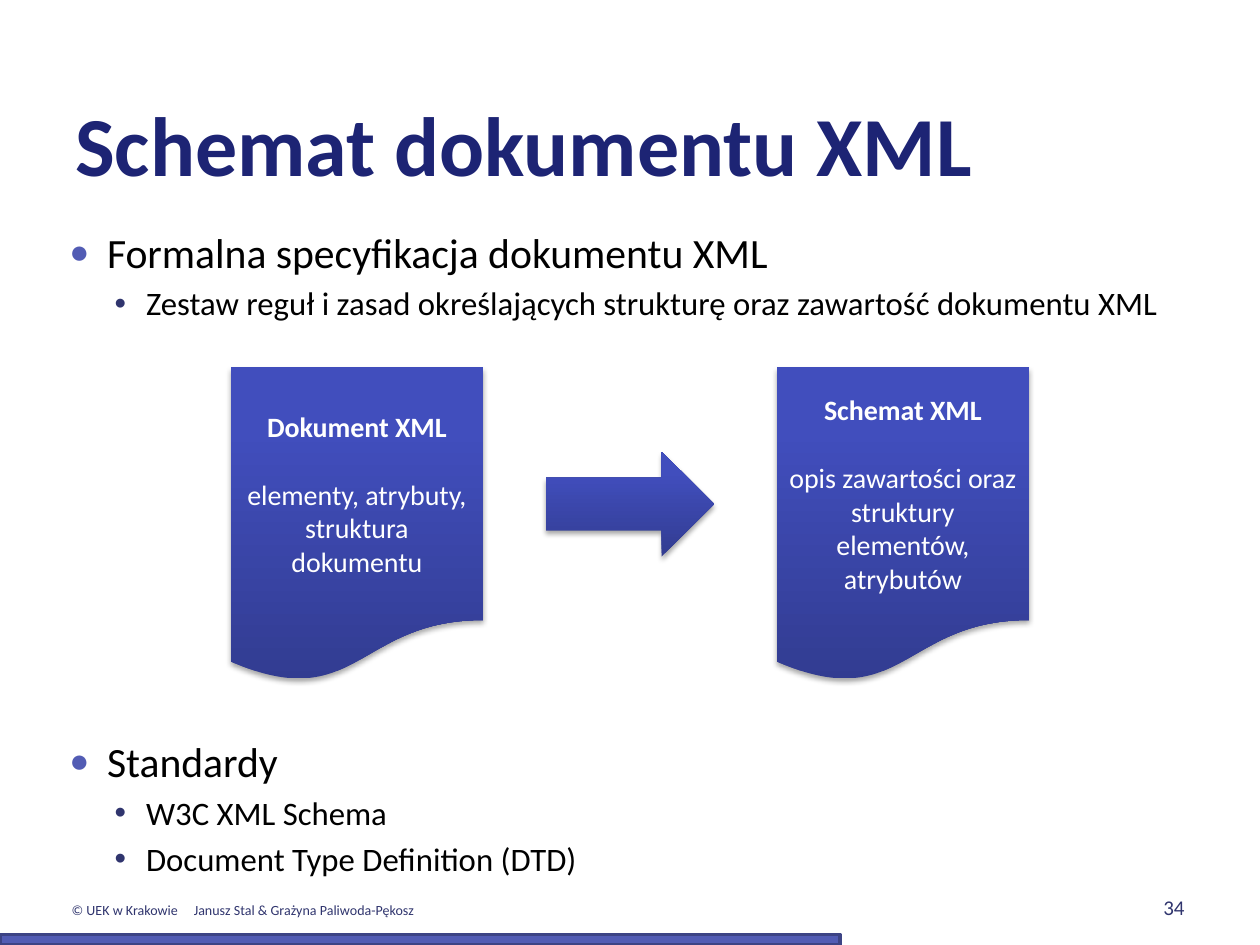
from copy import deepcopy
from dataclasses import dataclass

from lxml.etree import SubElement
from pptx import Presentation
from pptx.dml.color import RGBColor as RGB
from pptx.enum.shapes import MSO_SHAPE as SHAPE
from pptx.enum.text import MSO_ANCHOR as ANCHOR, PP_ALIGN as ALIGN
from pptx.oxml.ns import qn
from pptx.util import Inches, Pt

COLS, ROWS = 120, 90
UNIT = Inches(10) // COLS


@dataclass(frozen=True)
class Theme:
    font: str = "Calibri"
    title: str = "1D2474"
    text: str = "000000"
    muted: str = "30356E"
    accent: str = "525CB4"
    edge: str = "3D4485"
    light: str = "FFFFFF"
    gradient: tuple = ((0, "323C91"), (0.8, "414EBD"), (1, "3F4CC0"))
    title_size: float = 48
    item_size: float = 23.8
    subitem_size: float = 18.7
    label_size: float = 16
    number_size: float = 12
    footer_size: float = 8


T = Theme()


def grid(box):
    return [round(v * UNIT) for v in box]


def style(p, size, color, bold=False):
    for r in p.runs:
        r.font.name, r.font.size, r.font.bold = T.font, Pt(size), bold
        r.font.color.rgb = RGB.from_string(color)


def add_text(s, box, text, size, color, bold=False, align=ALIGN.LEFT,
             anchor=ANCHOR.BOTTOM, wrap=True):
    tf = s.shapes.add_textbox(*grid(box)).text_frame
    tf.word_wrap, tf.vertical_anchor = wrap, anchor
    p = tf.paragraphs[0]
    p.text, p.alignment = text, align
    style(p, size, color, bold)
    return p


def add_bullet(p, char, color, left, hang, percent):
    pPr = p._p.get_or_add_pPr()
    pPr.set("marL", str(Inches(left)))
    pPr.set("indent", str(-Inches(hang)))
    clr = SubElement(pPr, qn("a:buClr"))
    SubElement(clr, qn("a:srgbClr"), val=color)
    SubElement(pPr, qn("a:buSzPct"), val=str(percent * 1000))
    SubElement(pPr, qn("a:buFont"), typeface="Arial")
    SubElement(pPr, qn("a:buChar"), char=char)


def add_outline(s, box, heading, subitems):
    tf = s.shapes.add_textbox(*grid(box)).text_frame
    tf.word_wrap = True
    tf.margin_left = tf.margin_right = Inches(0.05)
    p = tf.paragraphs[0]
    p.text = heading
    add_bullet(p, "●", T.accent, 0.3, 0.3, 80)
    style(p, T.item_size, T.text)
    for item in subitems:
        p = tf.add_paragraph()
        p.text, p.level = item, 1
        p.space_before = Pt(0.2 * T.subitem_size)
        add_bullet(p, "•", T.muted, 0.61, 0.25, 100)
        style(p, T.subitem_size, T.text)


def add_raised(s, kind, box):
    """Add a borderless shape with the vertical gradient and a soft shadow."""
    sp = s.shapes.add_shape(kind, *grid(box))
    sp.line.fill.background()
    fill = sp.fill
    fill.gradient()
    fill.gradient_angle = 90
    gs_list = sp._element.spPr.find(".//" + qn("a:gsLst"))
    gs_list.append(deepcopy(gs_list[-1]))
    for stop, (position, color) in zip(fill.gradient_stops, T.gradient):
        stop.position = position
        stop.color.rgb = RGB.from_string(color)
    sp.shadow.inherit = False
    shadow = SubElement(sp._element.spPr.find(qn("a:effectLst")), qn("a:outerShdw"),
                        blurRad=str(Pt(3.1)), dist=str(Pt(1.8)), dir="5400000",
                        rotWithShape="0")
    black = SubElement(shadow, qn("a:srgbClr"), val="000000")
    SubElement(black, qn("a:alpha"), val="35000")
    return sp


def add_document(s, box, heading, body):
    tf = add_raised(s, SHAPE.FLOWCHART_DOCUMENT, box).text_frame
    tf.word_wrap, tf.vertical_anchor = True, ANCHOR.MIDDLE
    head, detail = tf.paragraphs[0], tf.add_paragraph()
    head.text, detail.text = heading, body
    head.space_after = Pt(1.22 * T.label_size)
    for p, bold in ((head, True), (detail, False)):
        p.alignment = ALIGN.CENTER
        style(p, T.label_size, T.light, bold)


def add_diagram(s, box):
    """Place a document at each end of the box and an arrow in its centre."""
    x, y, w, h = box
    doc_w, arrow_w, arrow_h = 24, 16, 10
    add_document(s, (x, y, doc_w, h), "Dokument XML",
                 "elementy, atrybuty,\vstruktura dokumentu")
    add_document(s, (x + w - doc_w, y, doc_w, h), "Schemat XML",
                 "opis zawartości oraz struktury elementów, atrybutów")
    add_raised(s, SHAPE.RIGHT_ARROW, (x + (w - arrow_w) / 2, y + 8, arrow_w, arrow_h))


def add_footer(s, box):
    x, y, w, h = box
    p = add_text(s, (x + 5.64, y, 37.5, 3),
                 "© UEK w Krakowie\tJanusz Stal & Grażyna Paliwoda-Pękosz",
                 T.footer_size, T.muted, anchor=ANCHOR.TOP, wrap=False)
    tabs = SubElement(p._p.get_or_add_pPr(), qn("a:tabLst"))
    SubElement(tabs, qn("a:tab"), pos=str(Inches(0.97)), algn="l")
    add_text(s, (x + 86, y - 3.3, 28, 6.2), "34", T.number_size, T.muted,
             align=ALIGN.RIGHT)
    bar = s.shapes.add_shape(SHAPE.RECTANGLE, *grid((x, y + h - 1, w * 2 / 3, 1)))
    bar.shadow.inherit = False
    bar.fill.solid()
    bar.fill.fore_color.rgb = RGB.from_string(T.accent)
    bar.line.color.rgb = RGB.from_string(T.edge)
    bar.line.width = Pt(2)


def main():
    prs = Presentation()
    prs.slide_width, prs.slide_height = COLS * UNIT, ROWS * UNIT
    s = prs.slides.add_slide(prs.slide_layouts[6])
    add_text(s, (6, 4, 108, 15), "Schemat dokumentu XML", T.title_size, T.title, True)
    add_outline(s, (6, 21, 108, 11), "Formalna specyfikacja dokumentu XML",
                ["Zestaw reguł i zasad określających strukturę oraz zawartość dokumentu XML"])
    add_diagram(s, (22, 35, 76, 30))
    add_outline(s, (6, 69.5, 108, 15), "Standardy",
                ["W3C XML Schema", "Document Type Definition (DTD)"])
    add_footer(s, (0, 85.3, COLS, ROWS - 85.3))
    prs.save("out.pptx")


if __name__ == "__main__":
    main()
